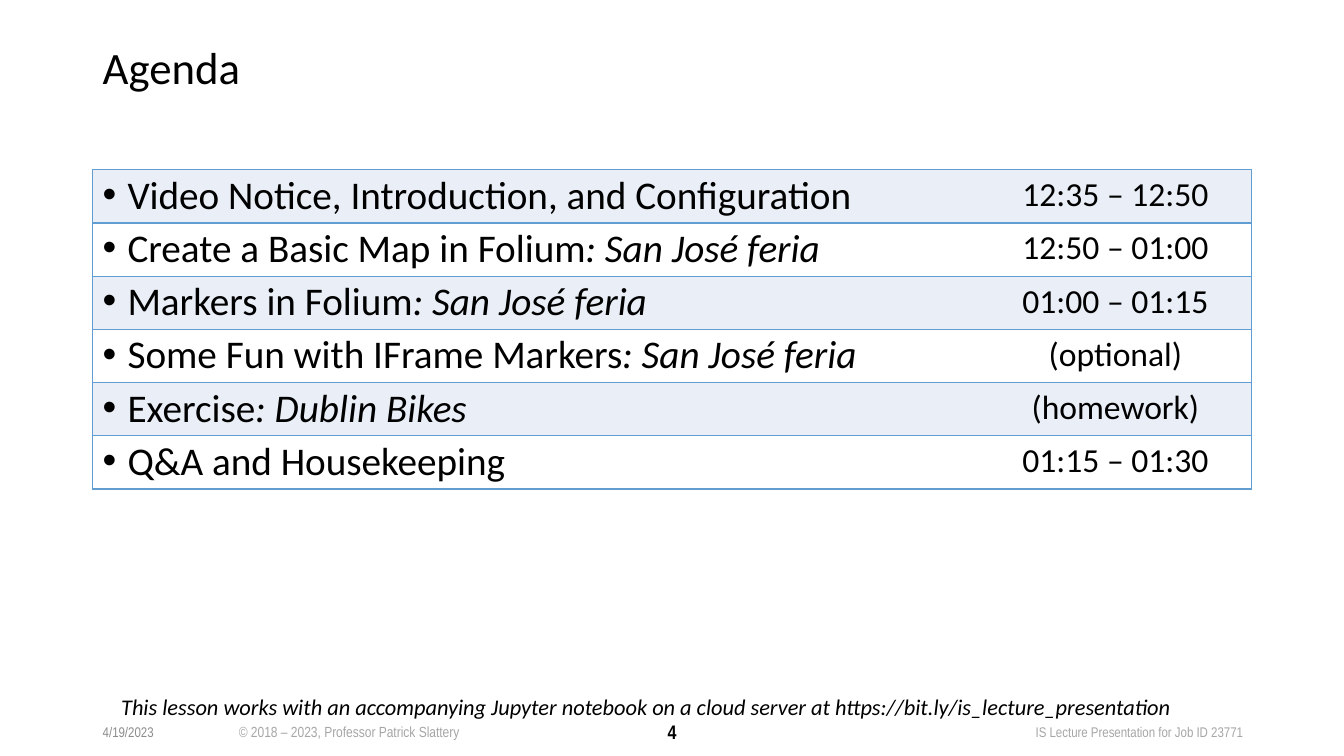
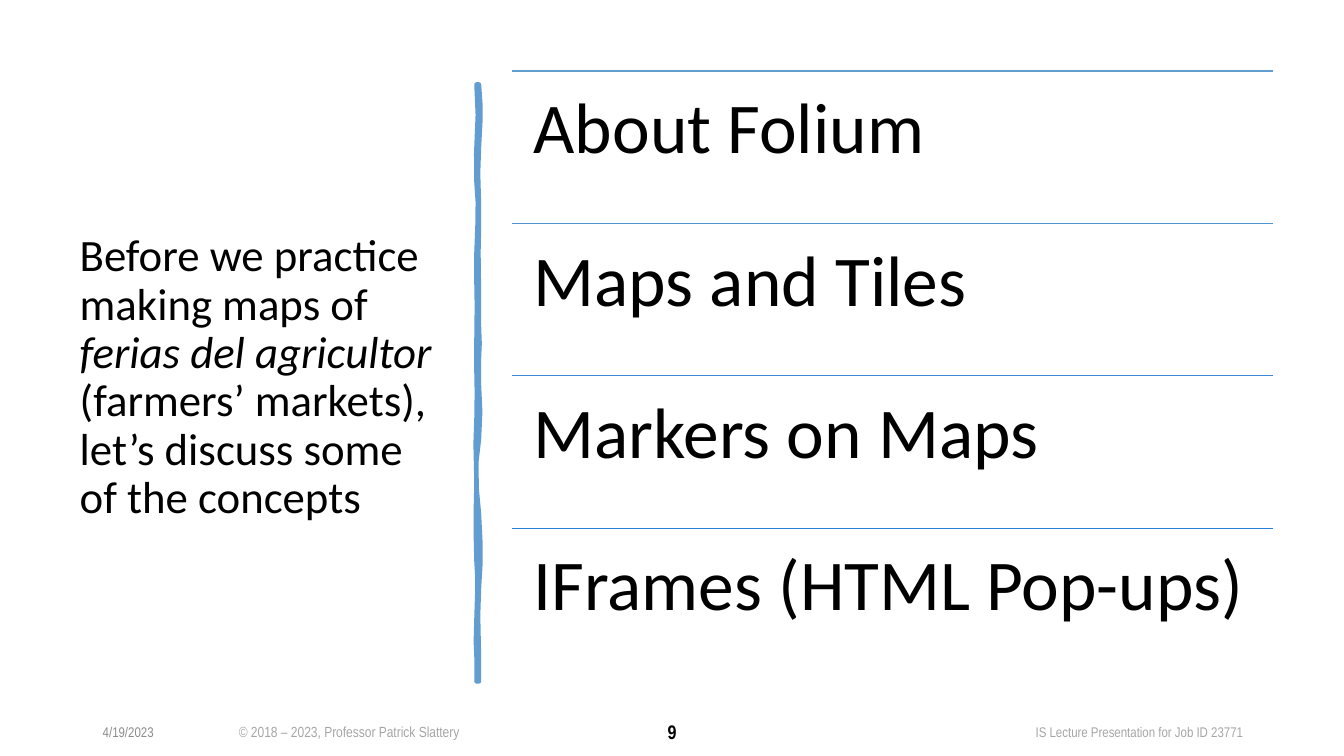
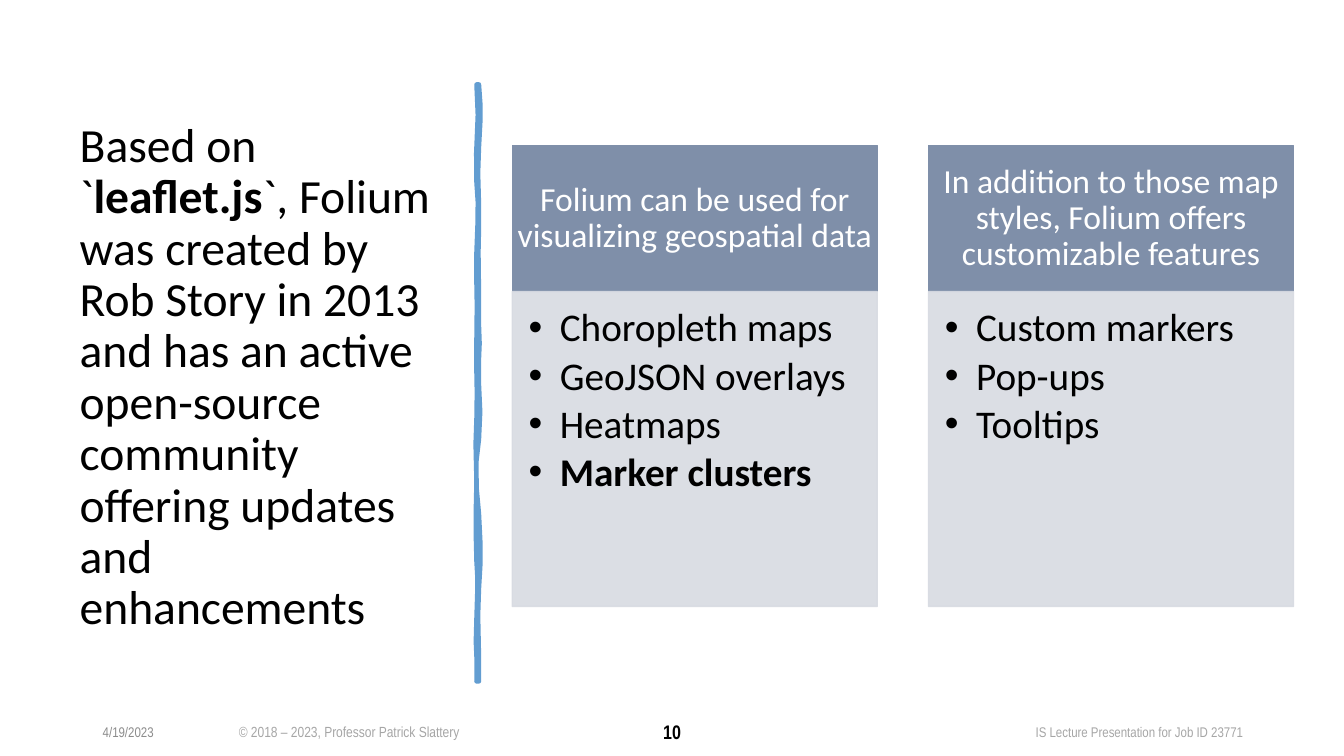
from dataclasses import dataclass

from lxml.etree import SubElement
from pptx import Presentation
from pptx.dml.color import RGBColor
from pptx.enum.shapes import MSO_CONNECTOR, MSO_SHAPE
from pptx.enum.text import MSO_ANCHOR, PP_ALIGN
from pptx.oxml.ns import qn
from pptx.util import Cm, Pt


@dataclass(frozen=True)
class Theme:
    """Colours, fonts and type sizes of the deck."""

    body_font: str = "Calibri"
    footer_font: str = "Arial Narrow"
    black: str = "000000"
    white: str = "FFFFFF"
    date_gray: str = "8C8C8C"
    footer_gray: str = "A6A6A6"
    accent: str = "629DD1"
    band: str = "EAEFF7"
    card_header: str = "7F8FA9"
    card_body: str = "D8DBE2"
    rules: tuple[str, ...] = ("629DD1", "5093D2", "3C89D3", "297FD5")
    title_size: float = 32
    long_title_size: float = 34
    concept_size: float = 51
    list_size: float = 28
    label_size: float = 24
    note_size: float = 16
    page_size: float = 14
    copyright_size: float = 10.5
    footer_size: float = 10


THEME = Theme()


@dataclass(frozen=True)
class Span:
    """A stretch of text with one emphasis."""

    text: str
    bold: bool = False
    italic: bool = False


@dataclass(frozen=True)
class Area:
    """A rectangle in centimetres."""

    left: float
    top: float
    width: float
    height: float

    def lengths(self) -> tuple[Cm, Cm, Cm, Cm]:
        """Return the rectangle as slide lengths."""
        return Cm(self.left), Cm(self.top), Cm(self.width), Cm(self.height)


@dataclass(frozen=True)
class Style:
    """How the paragraphs of a text are set."""

    size: float
    color: str = THEME.black
    font: str = THEME.body_font
    align: PP_ALIGN = PP_ALIGN.LEFT
    line_spacing: float = 0.9
    space_after: float = 0
    bullet_indent: float = 0


@dataclass(frozen=True)
class FooterItem:
    """A line of text at the foot of every slide."""

    text: str
    area: Area
    style: Style
    anchor: MSO_ANCHOR = MSO_ANCHOR.TOP
    wrap: bool = False


@dataclass(frozen=True)
class AgendaItem:
    """A topic with its place and its time."""

    topic: str
    example: str
    time: str


@dataclass(frozen=True)
class Card:
    """A header with a bulleted list below it."""

    header: str
    items: tuple[Span, ...]


Line = tuple[Span, ...]

SIDE_TITLE = Area(1.76, 1.77, 9.5, 15.52)
PAGE_NUMBER = Area(13.13, 17.93, 7.62, 1.02)
CONTENT_LEFT = 12.91

FOOTERS = (
    FooterItem("4/19/2023", Area(2.34, 17.93, 2.95, 1.02),
               Style(THEME.footer_size, THEME.date_gray, THEME.footer_font, line_spacing=1),
               MSO_ANCHOR.MIDDLE, True),
    FooterItem("© 2018 – 2023, Professor Patrick Slattery", Area(5.77, 18.08, 6.12, 0.71),
               Style(THEME.copyright_size, THEME.footer_gray, THEME.footer_font, line_spacing=1)),
    FooterItem("IS Lecture Presentation for Job ID 23771", Area(25.85, 18.1, 5.77, 0.69),
               Style(THEME.footer_size, THEME.footer_gray, THEME.footer_font, line_spacing=1)),
)

AGENDA = (
    AgendaItem("Video Notice, Introduction, and Configuration", "", "12:35 – 12:50"),
    AgendaItem("Create a Basic Map in Folium", ": San José feria", "12:50 – 01:00"),
    AgendaItem("Markers in Folium", ": San José feria", "01:00 – 01:15"),
    AgendaItem("Some Fun with IFrame Markers", ": San José feria", "(optional)"),
    AgendaItem("Exercise", ": Dublin Bikes", "(homework)"),
    AgendaItem("Q&A and Housekeeping", "", "01:15 – 01:30"),
)

CONCEPTS = ("About Folium", "Maps and Tiles", "Markers on Maps", "IFrames (HTML Pop-ups)")

CARDS = (
    Card("Folium can be used for visualizing geospatial data",
         (Span("Choropleth maps"), Span("GeoJSON overlays"), Span("Heatmaps"),
          Span("Marker clusters", bold=True))),
    Card("In addition to those map styles, Folium offers customizable features",
         (Span("Custom markers"), Span("Pop-ups"), Span("Tooltips"))),
)

DIVIDER_START = (12.07, 2.13)
DIVIDER_CURVES = (
    ((12.12, 2.59), (12.12, 3.02), (12.07, 3.71)),
    ((12.01, 4.39), (12.09, 4.95), (12.07, 5.74)),
    ((12.04, 6.53), (12.07, 6.65), (12.07, 7.47)),
    ((12.04, 8.26), (12.12, 8.69), (12.07, 9.04)),
    ((12.01, 9.4), (12.17, 10.52), (12.07, 11.07)),
    ((11.96, 11.61), (11.99, 12.29), (12.07, 12.95)),
    ((12.12, 13.61), (12.12, 14.33), (12.07, 14.83)),
    ((12.01, 15.32), (12.09, 16.51), (12.07, 17.17)),
    ((12.04, 17.17), (12.01, 17.17), (12.01, 17.17)),
    ((12.04, 16.41), (11.96, 16.36), (12.01, 15.57)),
    ((12.04, 14.81), (12.04, 14.48), (12.01, 14.15)),
    ((11.99, 13.82), (11.99, 12.57), (12.01, 12.12)),
    ((12.01, 11.66), (11.96, 11.3), (12.01, 10.54)),
    ((12.04, 9.8), (11.99, 9.47), (12.01, 8.51)),
    ((12.04, 7.57), (11.99, 7.14), (12.01, 6.35)),
    ((12.04, 5.54), (12.07, 5.08), (12.01, 4.6)),
    ((11.94, 4.14), (12.12, 2.64), (12.01, 2.13)),
)


def add_bullet(paragraph, indent: float) -> None:
    """Give a paragraph a hanging bullet."""
    properties = paragraph._p.get_or_add_pPr()
    properties.set("marL", str(Cm(indent)))
    properties.set("indent", str(-Cm(indent)))
    SubElement(properties, qn("a:buFont"), typeface="Arial")
    SubElement(properties, qn("a:buChar"), char="•")


def write(frame, lines: tuple[Line, ...], style: Style) -> None:
    """Set the lines of a text frame in one style."""
    for index, line in enumerate(lines):
        paragraph = frame.add_paragraph() if index else frame.paragraphs[0]
        if style.bullet_indent:
            add_bullet(paragraph, style.bullet_indent)
        paragraph.alignment = style.align
        paragraph.line_spacing = style.line_spacing
        paragraph.space_after = Pt(style.space_after)
        for span in line:
            run = paragraph.add_run()
            run.text = span.text
            run.font.name = style.font
            run.font.size = Pt(style.size)
            run.font.bold = span.bold
            run.font.italic = span.italic
            run.font.color.rgb = RGBColor.from_string(style.color)


def set_frame(frame, anchor: MSO_ANCHOR, wrap: bool, insets: tuple[float, ...]) -> None:
    """Set the anchor, wrapping and left, top, right and bottom insets."""
    frame.word_wrap = wrap
    frame.vertical_anchor = anchor
    frame.margin_left, frame.margin_top, frame.margin_right, frame.margin_bottom = map(Cm, insets)


def add_text(page, area: Area, line: Line, style: Style, anchor: MSO_ANCHOR = MSO_ANCHOR.TOP,
             wrap: bool = True, insets: tuple[float, ...] = (0.25, 0.13, 0.25, 0.13)) -> None:
    """Add a text box with one paragraph."""
    frame = page.shapes.add_textbox(*area.lengths()).text_frame
    set_frame(frame, anchor, wrap, insets)
    write(frame, (line,), style)


def paint(shape, color: str, width: float, opacity: int = 100) -> None:
    """Fill and outline a shape in one colour without a shadow."""
    shape.shadow.inherit = False
    shape.fill.solid()
    shape.fill.fore_color.rgb = RGBColor.from_string(color)
    shape.line.color.rgb = RGBColor.from_string(color)
    shape.line.width = Pt(width)
    if opacity < 100:
        for tint in shape._element.spPr.iter(qn("a:srgbClr")):
            SubElement(tint, qn("a:alpha"), val=str(opacity * 1000))


def add_panel(page, area: Area, color: str, lines: tuple[Line, ...], style: Style,
              anchor: MSO_ANCHOR, insets: tuple[float, ...], opacity: int = 100) -> None:
    """Add a filled rectangle with text."""
    panel = page.shapes.add_shape(MSO_SHAPE.RECTANGLE, *area.lengths())
    paint(panel, color, 1, opacity)
    set_frame(panel.text_frame, anchor, True, insets)
    write(panel.text_frame, lines, style)


def add_rule(page, left: float, top: float, width: float, color: str) -> None:
    """Add a thin horizontal line."""
    rule = page.shapes.add_connector(MSO_CONNECTOR.STRAIGHT, Cm(left), Cm(top),
                                     Cm(left + width), Cm(top))
    rule.line.color.rgb = RGBColor.from_string(color)
    rule.line.width = Pt(1)
    SubElement(rule._element.spPr, qn("a:effectLst"))


def add_divider(page, steps: int = 3) -> None:
    """Add the hand-drawn vertical stroke beside the title."""
    points = [DIVIDER_START]
    for first, second, end in DIVIDER_CURVES:
        corners = (points[-1], first, second, end)
        for step in range(1, steps + 1):
            t = step / steps
            weights = ((1 - t) ** 3, 3 * t * (1 - t) ** 2, 3 * t ** 2 * (1 - t), t ** 3)
            points.append(tuple(sum(weight * corner[axis] for weight, corner in zip(weights, corners))
                                for axis in (0, 1)))
    outline = [(Cm(x), Cm(y)) for x, y in points]
    builder = page.shapes.build_freeform(*outline[0])
    builder.add_line_segments(outline[1:], close=True)
    paint(builder.convert_to_shape(), THEME.accent, 3.25)


def set_borders(cell, open_side: str) -> None:
    """Draw the borders of a cell except on its open side."""
    properties = cell._tc.get_or_add_tcPr()
    for index, side in enumerate(("lnL", "lnR", "lnT", "lnB")):
        border = SubElement(properties, qn(f"a:{side}"), w=str(Pt(1)))
        if side == open_side:
            SubElement(border, qn("a:noFill"))
        else:
            fill = SubElement(border, qn("a:solidFill"))
            SubElement(fill, qn("a:srgbClr"), val=THEME.accent)
        properties.insert(index, border)


def add_agenda_table(page) -> None:
    """Add the table of topics and times."""
    row_height = 1.34
    area = Area(2.33, 4.28, 29.21, row_height * len(AGENDA))
    table = page.shapes.add_table(len(AGENDA), 2, *area.lengths()).table
    table.first_row = False
    table.horz_banding = False
    for column, width in zip(table.columns, (22.35, 6.86)):
        column.width = Cm(width)
    topic_style = Style(THEME.list_size, bullet_indent=0.63)
    time_style = Style(THEME.label_size, align=PP_ALIGN.CENTER, line_spacing=1)
    for index, item in enumerate(AGENDA):
        table.rows[index].height = Cm(row_height)
        topic = (Span(item.topic),)
        if item.example:
            topic += (Span(item.example, italic=True),)
        contents = ((topic, topic_style, "lnR"), ((Span(item.time),), time_style, "lnL"))
        for column, (line, style, open_side) in enumerate(contents):
            cell = table.cell(index, column)
            cell.fill.solid()
            cell.fill.fore_color.rgb = RGBColor.from_string(THEME.white if index % 2 else THEME.band)
            set_borders(cell, open_side)
            write(cell.text_frame, (line,), style)


def add_page(deck, number: int):
    """Add a blank slide with the shared footer."""
    page = deck.slides.add_slide(deck.slide_layouts[6])
    for item in FOOTERS:
        add_text(page, item.area, (Span(item.text),), item.style, item.anchor, item.wrap)
    number_style = Style(THEME.page_size, font=THEME.footer_font, align=PP_ALIGN.CENTER, line_spacing=1)
    add_text(page, PAGE_NUMBER, (Span(str(number), bold=True),), number_style, MSO_ANCHOR.MIDDLE)
    return page


def add_side_page(deck, number: int, title: Line, size: float):
    """Add a slide with a title at the left of the divider."""
    page = add_page(deck, number)
    add_text(page, SIDE_TITLE, title, Style(size), MSO_ANCHOR.MIDDLE)
    add_divider(page)
    return page


def build_agenda(deck) -> None:
    """Build the agenda slide."""
    page = add_page(deck, 4)
    add_text(page, Area(2.34, 1.02, 29.21, 2.9), (Span("Agenda"),), Style(THEME.title_size))
    add_agenda_table(page)
    note = Span("This lesson works with an accompanying Jupyter notebook on a cloud server at "
                "https://bit.ly/is_lecture_presentation", italic=True)
    add_text(page, Area(2.62, 17.33, 27.33, 0.94), (note,),
             Style(THEME.note_size, align=PP_ALIGN.CENTER, line_spacing=1), wrap=False)


def build_concepts(deck) -> None:
    """Build the slide that lists the concepts."""
    title = (Span("Before we practice making maps of "), Span("ferias del agricultor ", italic=True),
             Span("(farmers’ markets), let’s discuss some of the concepts"))
    page = add_side_page(deck, 9, title, THEME.title_size)
    width, pitch = 19.18, 3.84
    for index, (concept, color) in enumerate(zip(CONCEPTS, THEME.rules)):
        top = 1.79 + index * pitch
        add_rule(page, CONTENT_LEFT, top, width, color)
        add_text(page, Area(CONTENT_LEFT, top, width, pitch), (Span(concept),),
                 Style(THEME.concept_size), insets=(0.54, 0.53, 0.53, 0.53))


def build_features(deck) -> None:
    """Build the slide with the two feature cards."""
    title = (Span("Based on `"), Span("leaflet.js", bold=True),
             Span("`, Folium was created by Rob Story in 2013 and has an active open-source "
                  "community offering updates and enhancements"))
    page = add_side_page(deck, 10, title, THEME.long_title_size)
    top, width, header_height, body_height, pitch = 3.67, 9.2, 3.68, 7.93, 10.49
    header_style = Style(THEME.label_size, THEME.white, align=PP_ALIGN.CENTER)
    list_style = Style(THEME.list_size, space_after=4.2, bullet_indent=0.79)
    for index, card in enumerate(CARDS):
        left = CONTENT_LEFT + index * pitch
        add_panel(page, Area(left, top, width, header_height), THEME.card_header,
                  ((Span(card.header),),), header_style, MSO_ANCHOR.MIDDLE, (0, 0.28, 0, 0.28))
        add_panel(page, Area(left, top + header_height, width, body_height), THEME.card_body,
                  tuple((item,) for item in card.items), list_style, MSO_ANCHOR.TOP,
                  (0.41, 0.41, 0.56, 0.61), opacity=90)


def main() -> None:
    """Build the deck and save it."""
    deck = Presentation()
    deck.slide_width, deck.slide_height = Cm(33.87), Cm(19.05)
    build_agenda(deck)
    build_concepts(deck)
    build_features(deck)
    deck.save("out.pptx")


if __name__ == "__main__":
    main()
